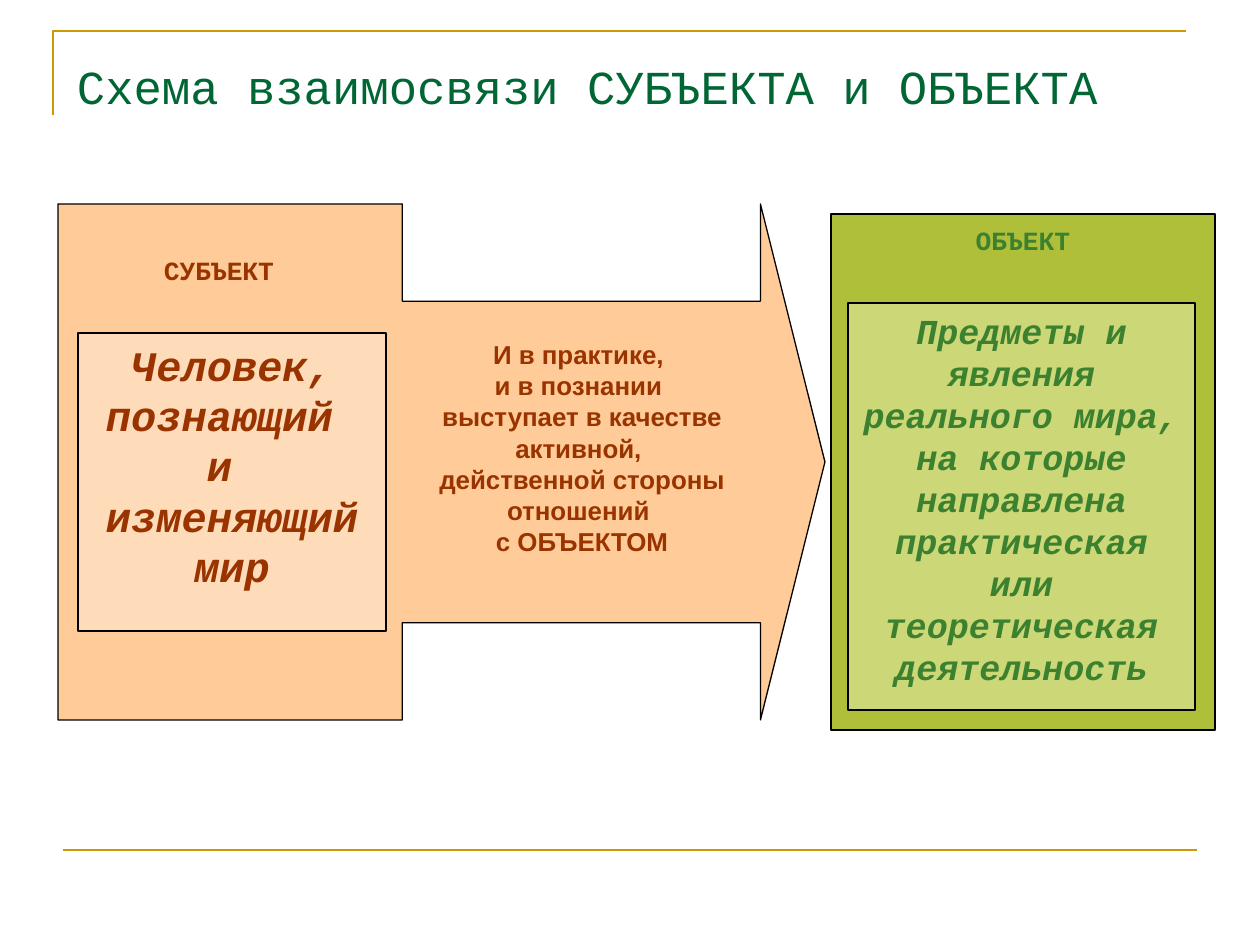
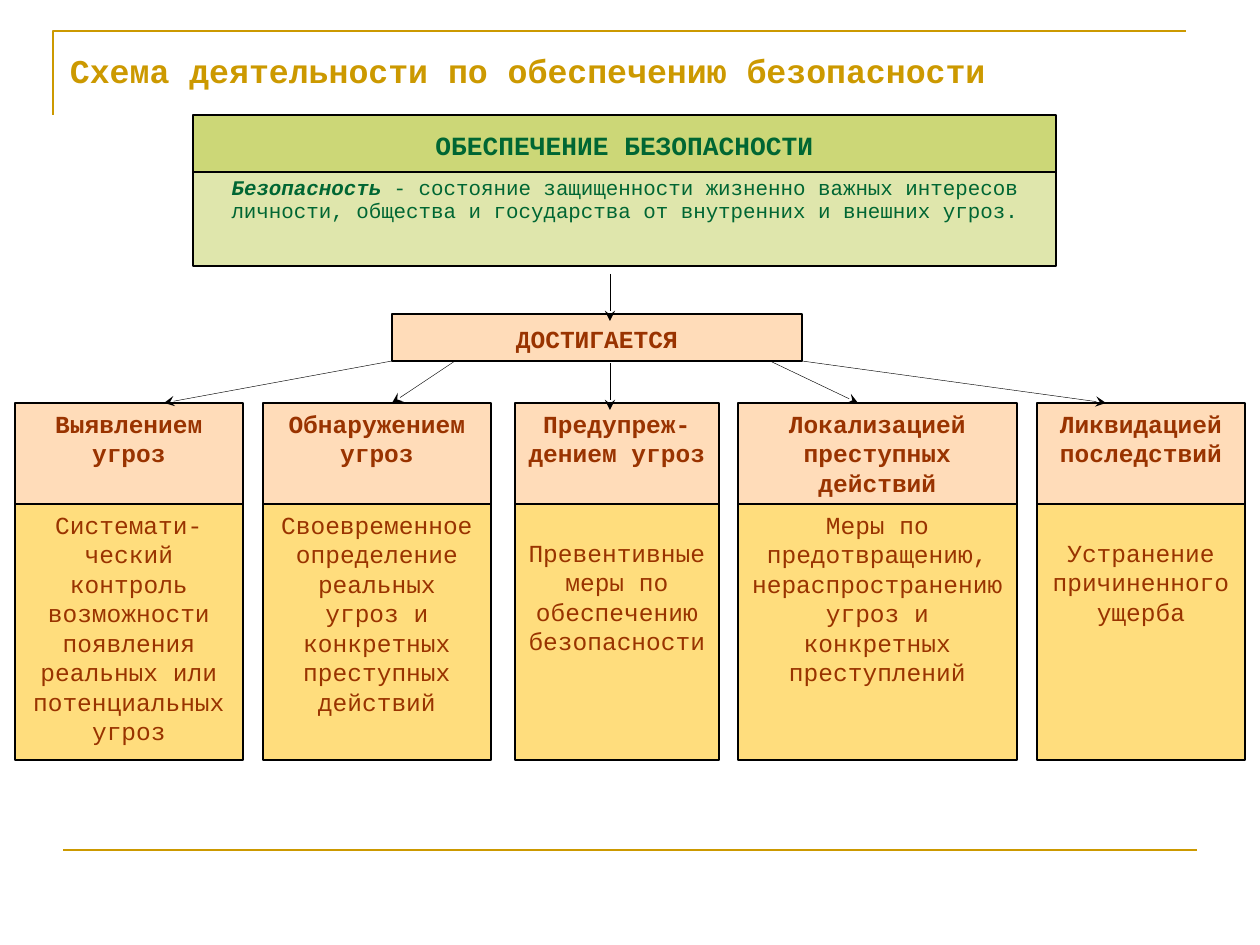
from lxml.etree import SubElement
from pptx import Presentation
from pptx.dml.color import RGBColor
from pptx.enum.shapes import MSO_CONNECTOR, MSO_SHAPE
from pptx.enum.text import MSO_ANCHOR, PP_ALIGN
from pptx.oxml.ns import qn
from pptx.util import Pt

PX = 914400 / 126
C = {
    "gold": "CC9900", "green": "006633", "leaf": "3B812F", "rust": "993300",
    "orange": "FFCC99", "peach": "FFDCB9", "amber": "FFDD7D",
    "olive": "AFBF39", "lime": "CCD777", "pale": "DFE6AC", "black": "000000",
}
MONO = "Courier New"
INSET_X, INSET_Y = 13, 6


def emu(*lengths):
    return [round(n * PX) for n in lengths]


def rgb(name):
    return RGBColor.from_string(C[name])


def set_all(target, **values):
    for name, value in values.items():
        setattr(target, name, value)


def write(sp, paragraphs, size, color, font=MONO, bold=False, italic=False,
          align=PP_ALIGN.CENTER, anchor=MSO_ANCHOR.TOP, top=0, spacing=None):
    tf = sp.text_frame
    left, above, below = emu(INSET_X, INSET_Y + top, INSET_Y)
    set_all(tf, word_wrap=True, vertical_anchor=anchor, margin_left=left,
            margin_right=left, margin_top=above, margin_bottom=below)
    for i, runs in enumerate(paragraphs):
        p = tf.paragraphs[0] if i == 0 else tf.add_paragraph()
        set_all(p, alignment=align, line_spacing=spacing)
        for text, emphasis in [(runs, False)] if isinstance(runs, str) else runs:
            r = p.add_run()
            r.text = text
            set_all(r.font, name=font, size=Pt(size),
                    bold=bold or emphasis, italic=italic or emphasis)
            r.font.color.rgb = rgb(color)


def add_text(s, box, paragraphs, size, color, **style):
    sp = s.shapes.add_textbox(*emu(*box))
    write(sp, paragraphs, size, color, **style)


def add_box(s, box, fill, kind=MSO_SHAPE.RECTANGLE):
    sp = s.shapes.add_shape(kind, *emu(*box))
    sp.shadow.inherit = False
    sp.fill.solid()
    sp.fill.fore_color.rgb = rgb(fill)
    sp.line.color.rgb = rgb("black")
    sp.line.width = Pt(0.75)
    return sp


def add_line(s, start, end, color, width, arrow=False):
    line = s.shapes.add_connector(MSO_CONNECTOR.STRAIGHT, *emu(*start, *end))
    line.line.color.rgb = rgb(color)
    line.line.width = Pt(width)
    if arrow:
        SubElement(line.line._get_or_add_ln(), qn("a:tailEnd"), type="stealth")
    SubElement(line._element.spPr, qn("a:effectLst"))


def add_frame(s):
    corner = s.shapes.build_freeform(*emu(53, 115), scale=1.0)
    corner.add_line_segments([emu(53, 31), emu(1186, 31)], close=False)
    sp = corner.convert_to_shape()
    sp.shadow.inherit = False
    sp.fill.background()
    sp.line.color.rgb = rgb("gold")
    sp.line.width = Pt(1.5)
    add_line(s, (63, 850), (1197, 850), "gold", 1.5)


def new_slide(prs, title, box, size, color, bold=False):
    s = prs.slides.add_slide(prs.slide_layouts[6])
    add_frame(s)
    add_text(s, box, [title], size, color, bold=bold,
             align=PP_ALIGN.LEFT, anchor=MSO_ANCHOR.BOTTOM)
    return s


def subject_arrow(s, x, y, w, h):
    sp = add_box(s, (x, y, w, h), "orange", MSO_SHAPE.RIGHT_ARROW_CALLOUT)
    for i, value in enumerate((0.623, 0.5, 0.125, 0.449)):
        sp.adjustments[i] = value
    add_text(s, (x + 59, y + 50, 204, 48), ["СУБЪЕКТ"], 15, "rust",
             bold=True, spacing=0.8)
    person = add_box(s, (x + 20, y + 129, 308, 298), "peach")
    write(person, ["Человек, познающий ", "и ", "изменяющий", "мир"],
          24, "rust", bold=True, italic=True)
    add_text(s, (x + 328, y + 129, 392, 238),
             ["И в практике, ", "и в познании ",
              "выступает в качестве активной, ",
              "действенной стороны отношений ", "с ОБЪЕКТОМ"],
             14.8, "rust", font="Arial", bold=True)


def object_panel(s, x, y, w, h):
    add_box(s, (x, y, w, h), "olive")
    add_text(s, (x + 90, y + 10, 204, 47), ["ОБЪЕКТ"], 15, "leaf",
             bold=True, spacing=0.8)
    things = add_box(s, (x + 17, y + 89, w - 37, h - 109), "lime")
    write(things, ["Предметы и явления реального мира, на которые направлена "
                   "практическая или теоретическая деятельность"],
          20, "leaf", bold=True, italic=True)


def definition(s, x, y, w, head_h, body_h):
    head = add_box(s, (x, y, w, head_h), "lime")
    write(head, ["ОБЕСПЕЧЕНИЕ БЕЗОПАСНОСТИ"], 15, "green", bold=True, top=8)
    body = add_box(s, (x, y + head_h, w, body_h), "pale")
    write(body, [[("Безопасность", True),
                  (" - состояние защищенности жизненно важных интересов личности, "
                   "общества и государства от внутренних и внешних угроз.", False)]],
          11.9, "green", spacing=0.9)


def measure(s, x, y, w, head, body, top):
    head_h, body_h = 101, 256
    write(add_box(s, (x, y, w, head_h), "peach"), [head], 14, "rust", bold=True)
    write(add_box(s, (x, y + head_h, w, body_h), "amber"), [body], 14, "rust", top=top)


def relation_slide(prs):
    s = new_slide(prs, "Схема взаимосвязи СУБЪЕКТА и ОБЪЕКТА",
                  (64, 0, 1190, 120), 27, "green")
    subject_arrow(s, 58, 204, 767, 516)
    object_panel(s, 831, 214, 384, 516)


def security_slide(prs):
    s = new_slide(prs, "Схема деятельности по обеспечению безопасности",
                  (57, 6, 1070, 90), 19, "gold", bold=True)
    definition(s, 193, 115, 863, 57, 94)
    write(add_box(s, (392, 314, 410, 47), "peach"), ["ДОСТИГАЕТСЯ"],
          14, "rust", bold=True, top=4)
    measures = [
        (15, 228, "Выявлением угроз",
         "Системати- ческий контроль возможности появления реальных "
         "или потенциальных угроз", 0),
        (263, 228, "Обнаружением угроз",
         "Своевременное определение реальных угроз и конкретных "
         "преступных действий", 0),
        (515, 204, "Предупреж- дением угроз",
         "Превентивные меры по обеспечению безопасности", 28),
        (738, 279, "Локализацией преступных действий",
         "Меры по предотвращению, нераспространению угроз "
         "и конкретных преступлений", 0),
        (1037, 208, "Ликвидацией последствий", "Устранение причиненного ущерба", 28),
    ]
    for x, w, head, body, top in measures:
        measure(s, x, 403, w, head, body, top)
    add_line(s, (610, 274), (610, 321), "black", 0.25, arrow=True)
    add_line(s, (610, 363), (610, 410), "black", 0.25, arrow=True)
    for start, end in ((392, 164), (455, 392), (770, 858), (802, 1106)):
        add_line(s, (start, 361), (end, 403), "black", 0.25, arrow=True)


def main():
    prs = Presentation()
    prs.slide_width, prs.slide_height = emu(1260, 945)
    relation_slide(prs)
    security_slide(prs)
    prs.save("out.pptx")


if __name__ == "__main__":
    main()
